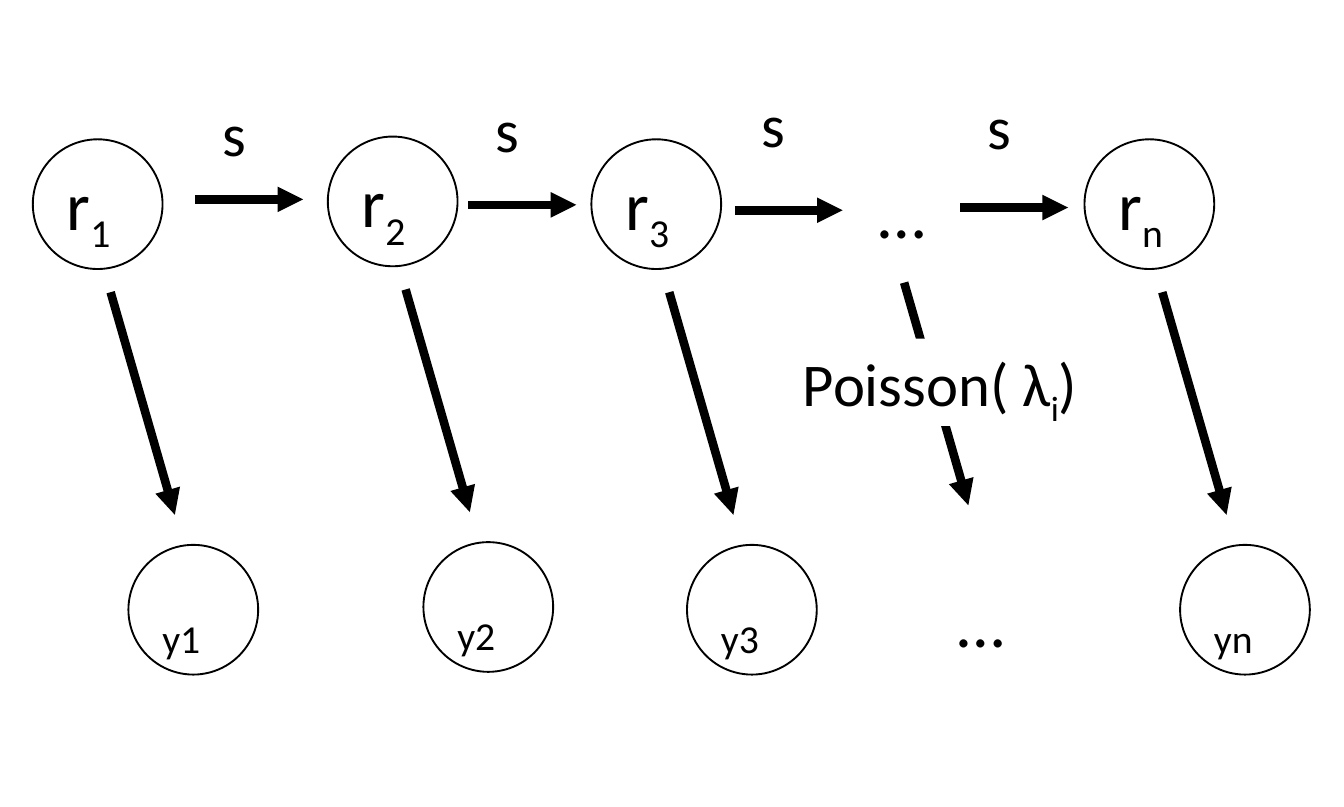
"""Build a slide of a hidden state chain r with Poisson observations y."""
import pptx
import pptx.util
import pptx.dml.color
import pptx.enum.shapes
import pptx.enum.text
import pptx.oxml.ns
from lxml import etree

Inches = pptx.util.Inches
Pt = pptx.util.Pt
BLACK = pptx.dml.color.RGBColor(0, 0, 0)
WHITE = pptx.dml.color.RGBColor(255, 255, 255)
SHAPES = pptx.enum.shapes.MSO_SHAPE
ANCHOR = pptx.enum.text.MSO_ANCHOR
ALIGN = pptx.enum.text.PP_ALIGN

STATES = [("1", 0.24, 1.02), ("2", 2.4, 1.0), ("3", 4.33, 1.02), ("n", 7.94, 1.02)]
HIDDEN_STATE = (6.05, 0.95)
TRANSITIONS = [(1.43, 1.46, 0.65), (3.43, 1.5, 0.62), (5.38, 1.54, 0.59), (7.03, 1.52, 0.6)]
ELLIPSES = [(6.33, 1.19), (6.91, 4.19)]
EMISSION = [("Poisson( λ", False), ("i", True), (")", False)]
DIAMETER = 0.95
OBSERVATION_SHIFT = (0.7, 2.97)
EMISSION_START = (0.57, 1.12)
EMISSION_STEP = (0.47, 1.63)
TRANSITION_LENGTH = 0.79


def write(shape, pieces, size, align=ALIGN.LEFT, anchor=ANCHOR.TOP):
    frame = shape.text_frame
    frame.word_wrap = True
    frame.vertical_anchor = anchor
    paragraph = frame.paragraphs[0]
    paragraph.alignment = align
    for text, subscript in pieces:
        run = paragraph.add_run()
        run.text = text
        run.font.size = Pt(size)
        run.font.name = "Calibri"
        run.font.color.rgb = BLACK
        if subscript:
            run.font._element.set("baseline", "-25000")


def add_text(shapes, left, top, width, height, pieces, size, **layout):
    box = shapes.add_textbox(Inches(left), Inches(top), Inches(width), Inches(height))
    write(box, pieces, size, **layout)


def add_node(left, top, pieces, text_height):
    group = slide.shapes.add_group_shape()
    circle = group.shapes.add_shape(
        SHAPES.OVAL, Inches(left), Inches(top), Inches(DIAMETER), Inches(DIAMETER))
    circle.shadow.inherit = False
    circle.fill.background()
    circle.line.color.rgb = BLACK
    circle.line.width = Pt(1)
    add_text(group.shapes, left + 0.15, top + 0.12, 0.64, text_height, pieces, 36)


def add_arrow(left, top, across, down):
    arrow = slide.shapes.add_connector(
        pptx.enum.shapes.MSO_CONNECTOR.STRAIGHT, Inches(left), Inches(top),
        Inches(left + across), Inches(top + down))
    arrow.line.color.rgb = BLACK
    arrow.line.width = Pt(4.5)
    qualify = pptx.oxml.ns.qn
    etree.SubElement(arrow.line._get_or_add_ln(), qualify("a:tailEnd"), type="triangle")
    etree.SubElement(arrow._element.spPr, qualify("a:effectLst"))


presentation = pptx.Presentation()
presentation.slide_width = Inches(9.84)
presentation.slide_height = Inches(5.91)
slide = presentation.slides.add_slide(presentation.slide_layouts[6])

for index, left, top in STATES:
    add_node(left, top, [("r", False), (index, True)], 0.71)
    add_node(left + OBSERVATION_SHIFT[0], top + OBSERVATION_SHIFT[1], [("y" + index, True)], 0.5)

for left, top in [state[1:] for state in STATES] + [HIDDEN_STATE]:
    add_arrow(left + EMISSION_START[0], top + EMISSION_START[1], *EMISSION_STEP)

for left, top, label_top in TRANSITIONS:
    add_arrow(left, top, TRANSITION_LENGTH, 0)
    add_text(slide.shapes, left + 0.1, label_top, 0.65, 0.64, [("s", False)], 32)

for left, top in ELLIPSES:
    add_text(slide.shapes, left, top, 0.55, 0.71, [("…", False)], 36,
             align=ALIGN.CENTER, anchor=ANCHOR.MIDDLE)

emission_label = slide.shapes.add_shape(
    SHAPES.RECTANGLE, Inches(5.78), Inches(2.48), Inches(2.5), Inches(0.64))
emission_label.shadow.inherit = False
emission_label.fill.solid()
emission_label.fill.fore_color.rgb = WHITE
emission_label.line.fill.background()
write(emission_label, EMISSION, 32)

presentation.save("out.pptx")
